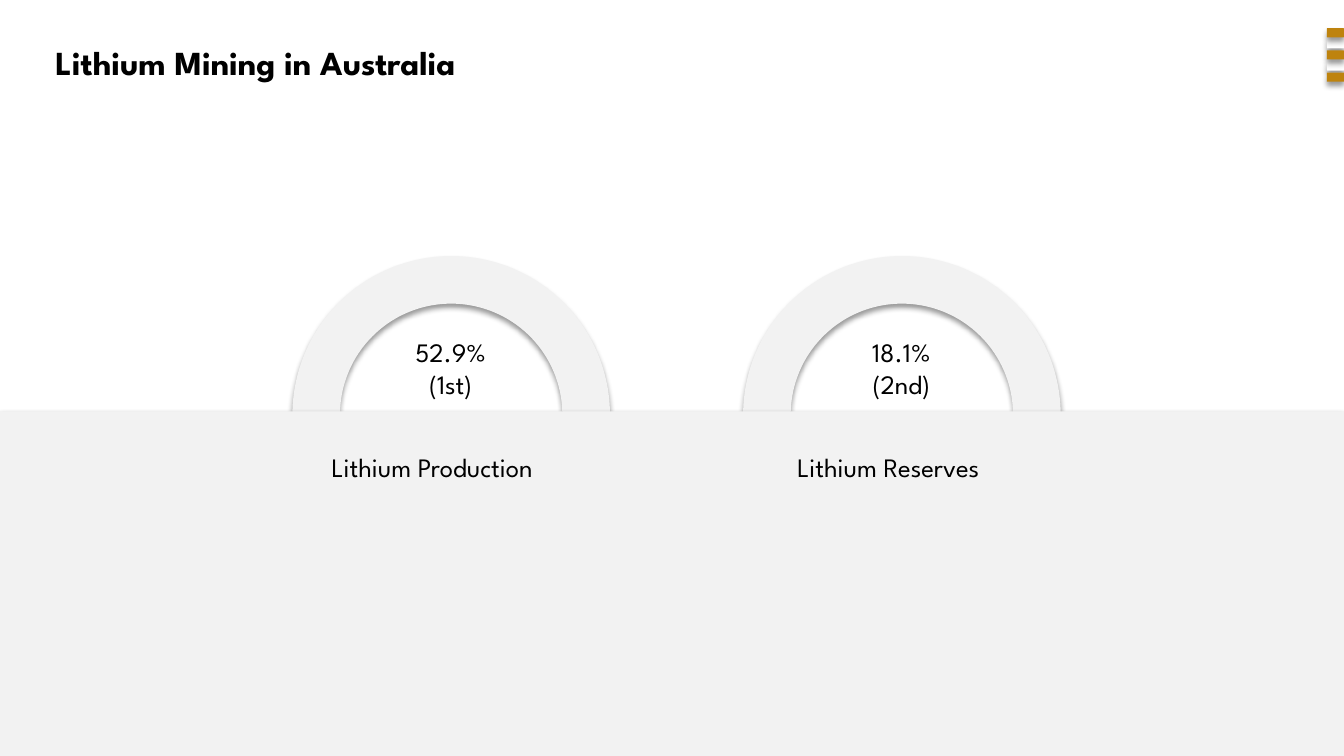
from lxml import etree
from pptx import Presentation
from pptx.dml.color import RGBColor
from pptx.enum.shapes import MSO_SHAPE
from pptx.enum.text import MSO_ANCHOR, MSO_AUTO_SIZE, PP_ALIGN
from pptx.oxml.ns import qn
from pptx.util import Inches, Pt

FONT = "League Spartan"
COLORS = {"text": "000000", "gold": "BE830E", "white": "FFFFFF",
          "gray": "F2F2F2", "shadow": "000000"}
BLOCK_ARC = MSO_SHAPE.BLOCK_ARC
RECTANGLE = MSO_SHAPE.RECTANGLE
ROUNDED = MSO_SHAPE.ROUNDED_RECTANGLE
LEFT, CENTER = PP_ALIGN.LEFT, PP_ALIGN.CENTER
TOP = MSO_ANCHOR.TOP
NO_AUTOFIT = MSO_AUTO_SIZE.NONE


def add_drop_shadow(shape):
    shape.shadow.inherit = False
    effects = shape._element.spPr.find(qn("a:effectLst"))
    shadow = etree.SubElement(effects, qn("a:outerShdw"), blurRad=str(Pt(4)),
                              dist=str(Pt(3)), dir="5400000", rotWithShape="0")
    color = etree.SubElement(shadow, qn("a:srgbClr"), val=COLORS["shadow"])
    etree.SubElement(color, qn("a:alpha"), val="40000")


def add_filled_shape(slide, kind, left, top, width, height, color, adjustments=()):
    shape = slide.shapes.add_shape(kind, Inches(left), Inches(top),
                                   Inches(width), Inches(height))
    for index, value in enumerate(adjustments):
        shape.adjustments[index] = value
    shape.fill.solid()
    shape.fill.fore_color.rgb = RGBColor.from_string(COLORS[color])
    shape.line.fill.background()
    add_drop_shadow(shape)


def format_text(shape, text, size, align=LEFT, bold=False):
    frame = shape.text_frame
    frame.text = text
    frame.word_wrap = True
    frame.auto_size = NO_AUTOFIT
    frame.vertical_anchor = TOP
    for paragraph in frame.paragraphs:
        paragraph.alignment = align
        for run in paragraph.runs:
            run.font.name = FONT
            run.font.size = Pt(size)
            run.font.bold = bold
            run.font.color.rgb = RGBColor.from_string(COLORS["text"])


def add_text(slide, text, left, top, width, height, align=LEFT):
    box = slide.shapes.add_textbox(Inches(left), Inches(top),
                                   Inches(width), Inches(height))
    format_text(box, text, 19, align)


def set_title(slide, text):
    title = slide.shapes.title
    title.left, title.top = Inches(0.45), Inches(0.37)
    title.width, title.height = Inches(4.45), Inches(0.5)
    format_text(title, text, 24, bold=True)


def add_corner_bars(slide):
    """Stack five alternating bars at the right edge, white ones behind."""
    for color, rows in (("white", (1, 3)), ("gold", (0, 2, 4))):
        for row in rows:
            add_filled_shape(slide, ROUNDED, 13.16, 0.28 + 0.11 * row,
                             0.17, 0.09, color, [0.05])


def add_gauge(slide, left, value):
    add_text(slide, value, left + 1.1, 3.28, 0.94, 0.74, CENTER)
    add_filled_shape(slide, BLOCK_ARC, left, 2.54, 3.15, 3.15, "gray",
                     [108, 0.14, 0.15])


def main():
    presentation = Presentation()
    presentation.slide_width = Inches(13.33)
    presentation.slide_height = Inches(7.5)
    slide = presentation.slides.add_slide(presentation.slide_layouts[5])

    set_title(slide, "Lithium Mining in Australia")
    add_corner_bars(slide)
    add_gauge(slide, 2.9, "52.9%\n(1st)")
    add_gauge(slide, 7.37, "18.1%\n(2nd)")
    add_filled_shape(slide, RECTANGLE, 0, 4.08, 13.33, 3.42, "gray")
    add_text(slide, "Lithium Production", 3.19, 4.42, 2.56, 0.42)
    add_text(slide, "Lithium Reserves", 7.81, 4.42, 2.27, 0.42)
    presentation.save("out.pptx")


if __name__ == "__main__":
    main()
